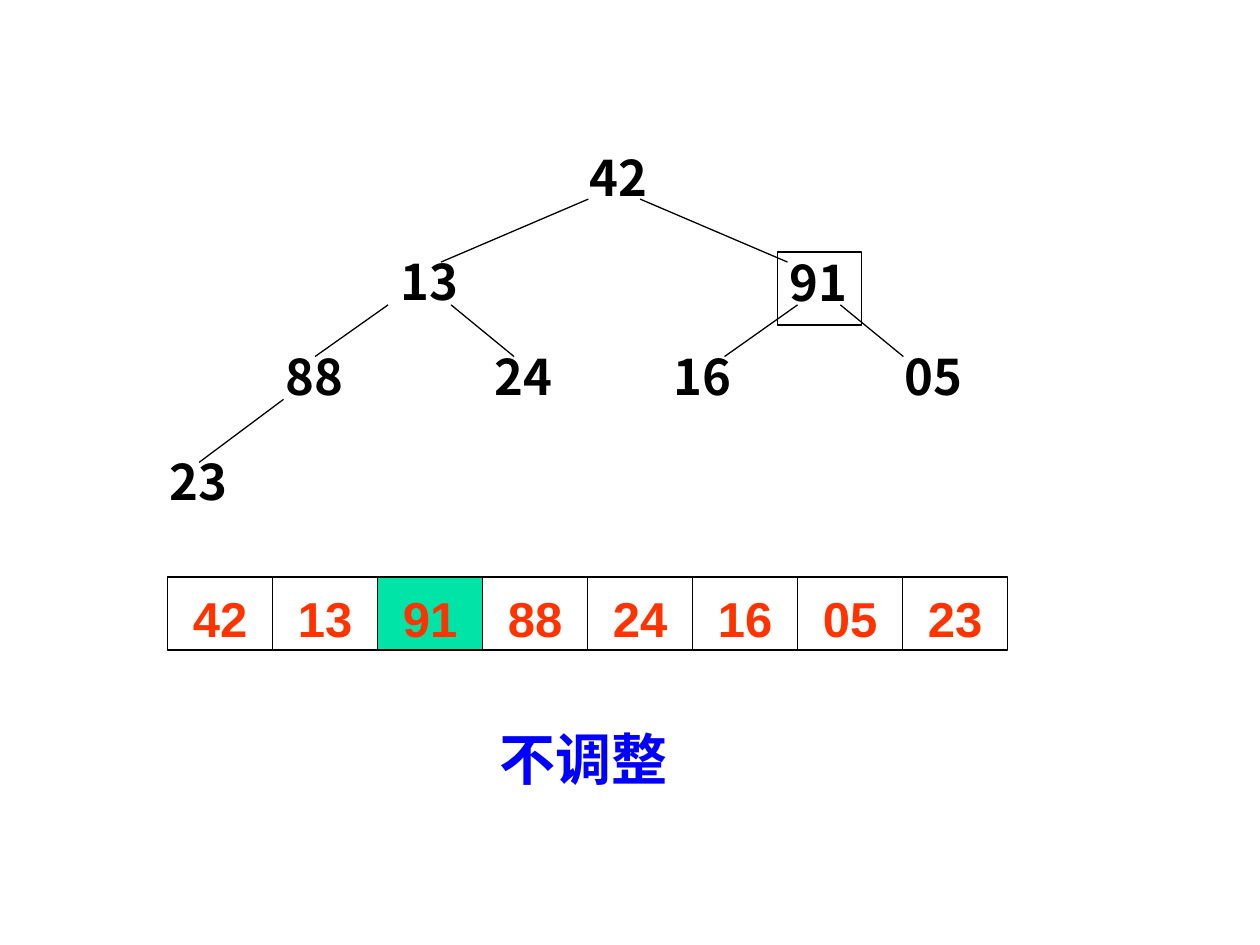
import pptx
import pptx.dml.color
import pptx.enum.shapes
import pptx.enum.text
import pptx.oxml.ns
import pptx.util
from lxml import etree

Inches = pptx.util.Inches
RGBColor = pptx.dml.color.RGBColor
Align = pptx.enum.text.PP_ALIGN

BLACK = RGBColor(0x00, 0x00, 0x00)
ORANGE = RGBColor(0xFF, 0x33, 0x00)
BLUE = RGBColor(0x00, 0x00, 0xFF)
GREEN = RGBColor(0x00, 0xE4, 0xA8)
CJK_FONT = "Noto Sans CJK SC"
CELL_FONT = "Arial"


class HeapSlide:
    """Draws the parts of a heap diagram on one slide."""

    line_width = pptx.util.Pt(0.75)
    number_size = 28
    caption_size = 32

    def __init__(self, page):
        self.page = page

    def label(self, box, text, size, font, color, align, top_margin=0.0):
        frame = box.text_frame
        frame.word_wrap = True
        frame.vertical_anchor = pptx.enum.text.MSO_ANCHOR.TOP
        frame.margin_top = Inches(top_margin)
        frame.margin_bottom = 0
        para = frame.paragraphs[0]
        para.alignment = align
        span = para.add_run()
        span.text = text
        span.font.size = pptx.util.Pt(size)
        span.font.bold = True
        span.font.name = font
        span.font.color.rgb = color
        # East Asian characters take their font from a separate element
        east_asian = etree.SubElement(span.font._element, pptx.oxml.ns.qn("a:ea"))
        east_asian.set("typeface", font)

    def text(self, left, top, width, height):
        return self.page.shapes.add_textbox(
            Inches(left), Inches(top), Inches(width), Inches(height))

    def rectangle(self, left, top, width, height, fill=None):
        box = self.page.shapes.add_shape(
            pptx.enum.shapes.MSO_SHAPE.RECTANGLE,
            Inches(left), Inches(top), Inches(width), Inches(height))
        box.shadow.inherit = False
        if fill is None:
            box.fill.background()
        else:
            box.fill.solid()
            box.fill.fore_color.rgb = fill
        box.line.color.rgb = BLACK
        box.line.width = self.line_width
        return box

    def node(self, value, left, top, framed=False):
        if framed:
            box = self.rectangle(left, top, 0.67, 0.58)
        else:
            box = self.text(left, top, 0.67, 0.57)
        self.label(box, value, self.number_size, CJK_FONT, BLACK, Align.LEFT)

    def edge(self, start_x, start_y, end_x, end_y):
        line = self.page.shapes.add_connector(
            pptx.enum.shapes.MSO_CONNECTOR.STRAIGHT,
            Inches(start_x), Inches(start_y), Inches(end_x), Inches(end_y))
        line.line.color.rgb = BLACK
        line.line.width = self.line_width
        etree.SubElement(line._element.spPr, pptx.oxml.ns.qn("a:effectLst"))

    def cell(self, value, left, top, width, fill):
        box = self.rectangle(left, top, width, 0.58, fill)
        self.label(box, value, self.number_size, CELL_FONT, ORANGE,
                   Align.CENTER, top_margin=0.09)

    def caption(self, text, left, top, width, height):
        box = self.text(left, top, width, height)
        self.label(box, text, self.caption_size, CJK_FONT, BLUE, Align.CENTER)


def main():
    deck = pptx.Presentation()
    deck.slide_width = Inches(10)
    deck.slide_height = Inches(7.5)
    heap = HeapSlide(deck.slides.add_slide(deck.slide_layouts[6]))

    # Tree nodes in level order, with the left edge and top of each
    nodes = [("42", 4.58, 1.17),
             ("13", 3.08, 2), ("91", 6.17, 2),
             ("88", 2.17, 2.75), ("24", 3.83, 2.75),
             ("16", 5.25, 2.75), ("05", 7.08, 2.75),
             ("23", 1.25, 3.58)]
    current = "91"
    for value, left, top in nodes:
        heap.node(value, left, top, framed=value == current)

    # Tree edges: start and end height of a level, then its x pairs
    levels = [(1.58, 2.08, [(4.67, 3.5), (5.08, 6.25)]),
              (2.42, 2.83, [(3.08, 2.5), (3.58, 4.08),
                            (6.33, 5.75), (6.67, 7.17)]),
              (3.17, 3.67, [(2.25, 1.58)])]
    for start_y, end_y, pairs in levels:
        for start_x, end_x in pairs:
            heap.edge(start_x, start_y, end_x, end_y)

    # Array row, in the same order as the tree
    cell_width = 10 / 12
    for index, (value, _, _) in enumerate(nodes):
        fill = GREEN if value == current else None
        heap.cell(value, 1.33 + index * cell_width, 4.58, cell_width, fill)

    # Caption
    heap.caption("不调整", 3.17, 5.75, 2.92, 0.63)

    deck.save("out.pptx")


if __name__ == "__main__":
    main()
